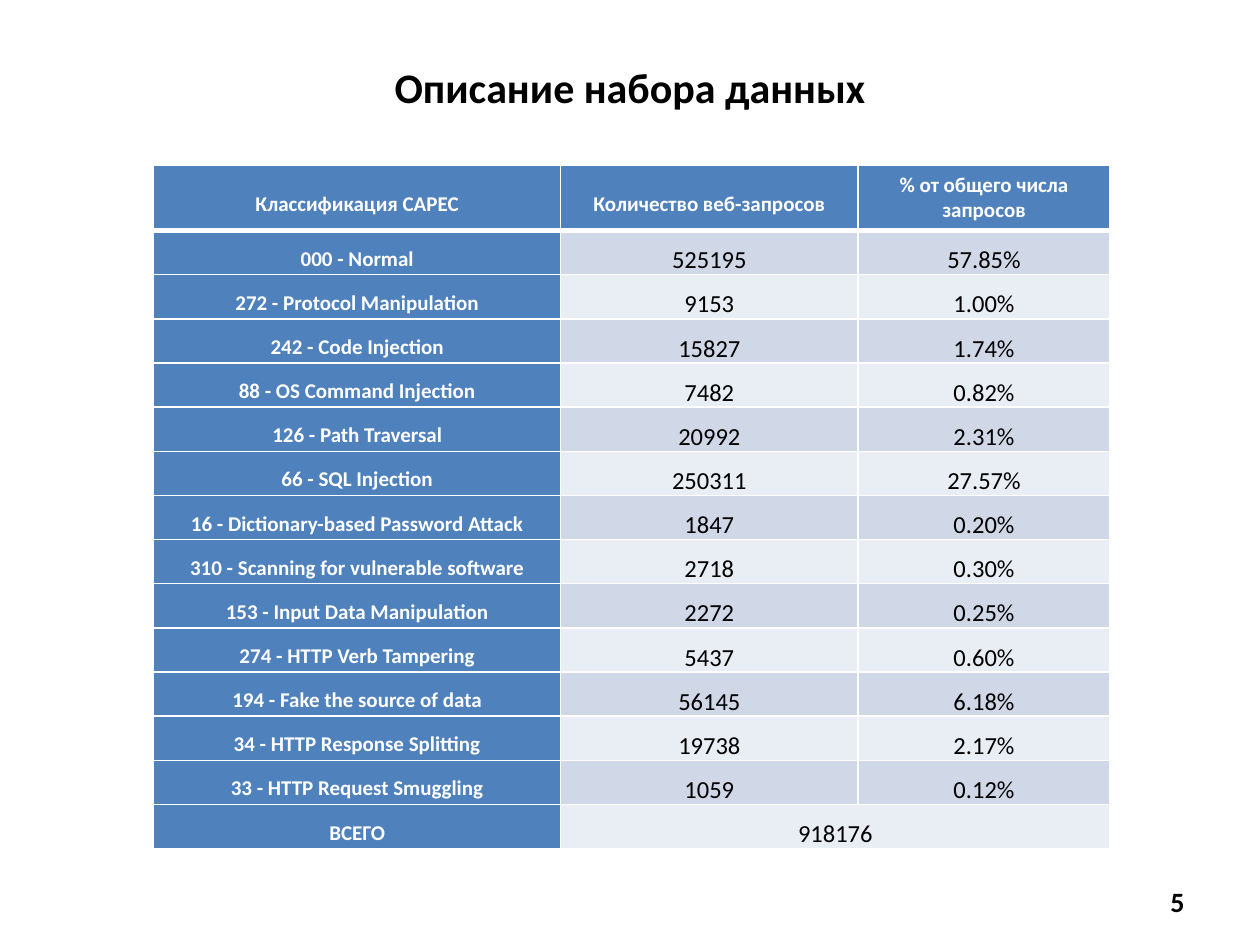
from lxml import etree
from pptx import Presentation
from pptx.dml.color import RGBColor
from pptx.enum.text import MSO_ANCHOR, PP_ALIGN
from pptx.oxml.ns import qn
from pptx.util import Inches, Pt

MIDDLE = MSO_ANCHOR.MIDDLE
CENTER, RIGHT = PP_ALIGN.CENTER, PP_ALIGN.RIGHT
FONT = "Calibri"
BLACK, WHITE, BLUE = "000000", "FFFFFF", "4F81BD"
BANDS = ["D0D8E8", "E9EDF4"]

HEADINGS = ["Классификация CAPEC", "Количество веб-запросов",
            "% от общего числа запросов"]
ATTACKS = [
    ["000 - Normal", "525195", "57.85%"],
    ["272 - Protocol Manipulation", "9153", "1.00%"],
    ["242 - Code Injection", "15827", "1.74%"],
    ["88 - OS Command Injection", "7482", "0.82%"],
    ["126 - Path Traversal", "20992", "2.31%"],
    ["66 - SQL Injection", "250311", "27.57%"],
    ["16 - Dictionary-based Password Attack", "1847", "0.20%"],
    ["310 - Scanning for vulnerable software", "2718", "0.30%"],
    ["153 - Input Data Manipulation", "2272", "0.25%"],
    ["274 - HTTP Verb Tampering", "5437", "0.60%"],
    ["194 - Fake the source of data", "56145", "6.18%"],
    ["34 - HTTP Response Splitting", "19738", "2.17%"],
    ["33 - HTTP Request Smuggling", "1059", "0.12%"],
]
TOTAL = ["ВСЕГО", "918176", ""]
ROWS = [HEADINGS, *ATTACKS, TOTAL]
COLUMN_WIDTHS = [3.23, 2.36, 2]
HEADER_HEIGHT, ROW_HEIGHT = 0.52, 0.35


def write(frame, text, size, color, bold, align):
    """Put one formatted paragraph into a text frame and return it."""
    frame.text = text
    paragraph = frame.paragraphs[0]
    paragraph.alignment = align
    for run in paragraph.runs:
        run.font.name = FONT
        run.font.size = Pt(size)
        run.font.bold = bold
        run.font.color.rgb = RGBColor.from_string(color)
    return paragraph


def add_border(cell, side, width):
    """Draw a white border of the given point width on one side of a cell."""
    line = etree.SubElement(cell._tc.get_or_add_tcPr(), qn(f"a:ln{side}"),
                            w=str(Pt(width)))
    fill = etree.SubElement(line, qn("a:solidFill"))
    etree.SubElement(fill, qn("a:srgbClr"), val=WHITE)


prs = Presentation()
prs.slide_width, prs.slide_height = Inches(10), Inches(7.5)
slide = prs.slides.add_slide(prs.slide_layouts[5])

title = slide.shapes.title
title.left, title.top = Inches(0.5), Inches(0.3)
title.width, title.height = Inches(9), Inches(0.77)
title.text_frame.vertical_anchor = MIDDLE
write(title.text_frame, "Описание набора данных", 24, BLACK, True, CENTER)

page_number = slide.shapes.add_textbox(
    Inches(7.17), Inches(6.95), Inches(2.33), Inches(0.4)).text_frame
page_number.word_wrap = True
page_number.vertical_anchor = MIDDLE
write(page_number, "5", 16, BLACK, True, RIGHT)

table = slide.shapes.add_table(
    len(ROWS), len(HEADINGS), Inches(1.22), Inches(1.31),
    Inches(sum(COLUMN_WIDTHS)),
    Inches(HEADER_HEIGHT + ROW_HEIGHT * (len(ROWS) - 1))).table
table.first_col = True
for column, width in zip(table.columns, COLUMN_WIDTHS):
    column.width = Inches(width)

for r, values in enumerate(ROWS):
    table.rows[r].height = Inches(ROW_HEIGHT if r else HEADER_HEIGHT)
    for c, value in enumerate(values):
        cell = table.cell(r, c)
        heading = r == 0 or c == 0
        cell.vertical_anchor = MIDDLE
        cell.margin_left = cell.margin_right = Inches(0.07)
        cell.margin_top = cell.margin_bottom = 0
        add_border(cell, "L", 1)
        add_border(cell, "R", 1)
        add_border(cell, "T", 3 if r == 1 else 1)
        add_border(cell, "B", 3 if r == 0 else 1)
        cell.fill.solid()
        cell.fill.fore_color.rgb = RGBColor.from_string(
            BLUE if heading else BANDS[(r - 1) % 2])
        paragraph = write(cell.text_frame, value, 12 if heading else 14,
                          WHITE if heading else BLACK, heading, CENTER)
        paragraph.line_spacing = 1.5

# The longest heading wraps to two lines and keeps single spacing.
table.cell(0, 2).text_frame.paragraphs[0].line_spacing = 1.0
last = len(ROWS) - 1
table.cell(last, 1).merge(table.cell(last, 2))

prs.save("out.pptx")
